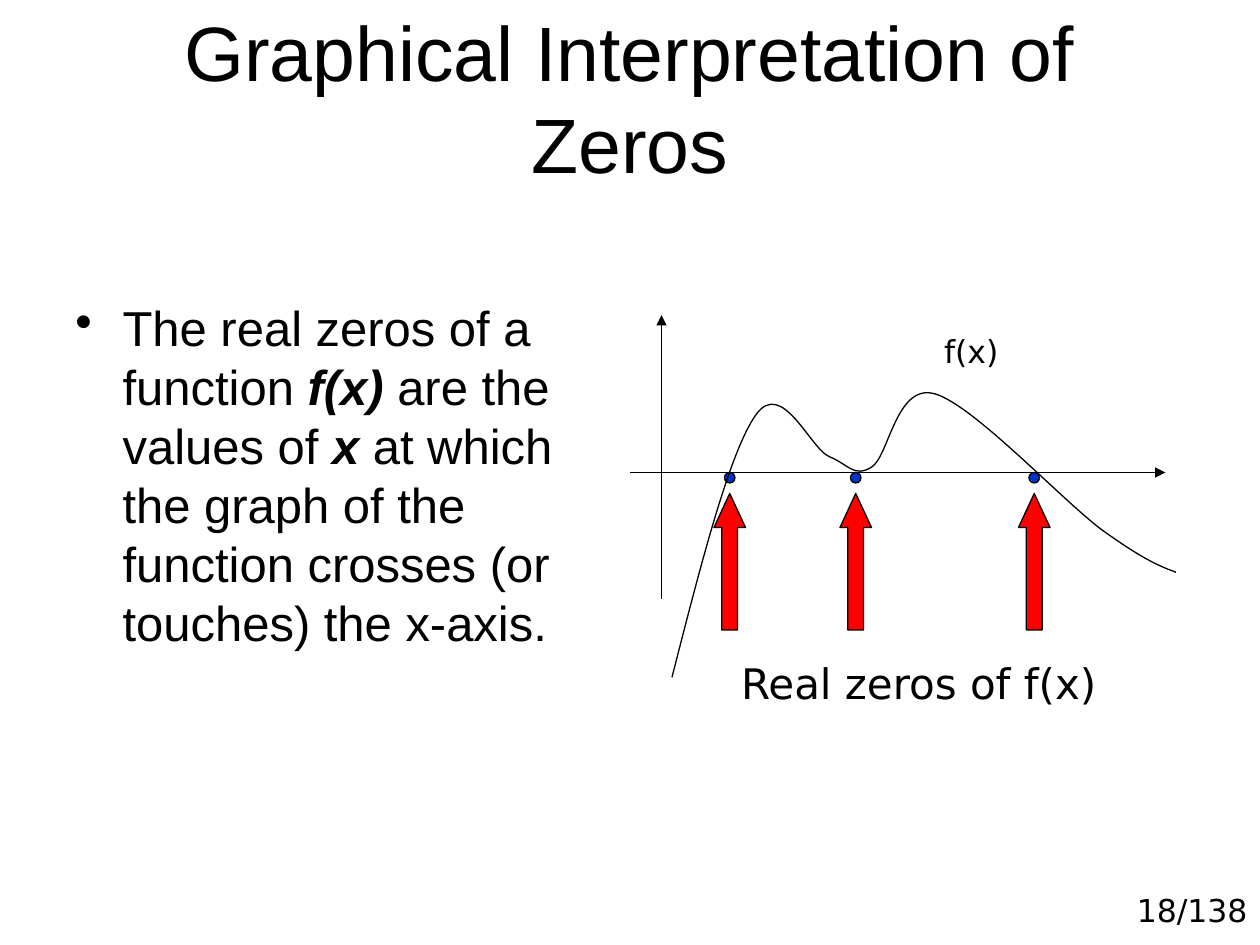
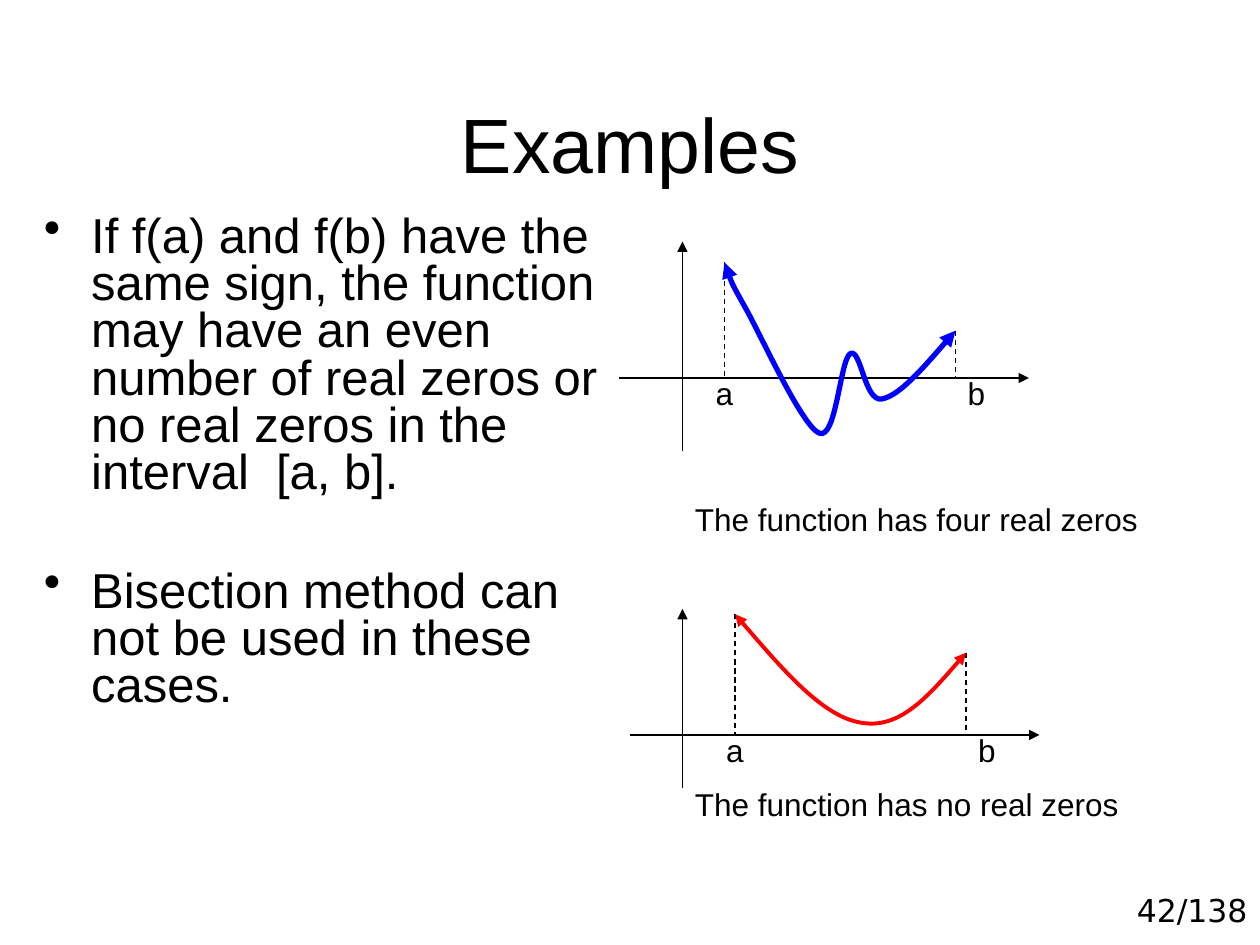
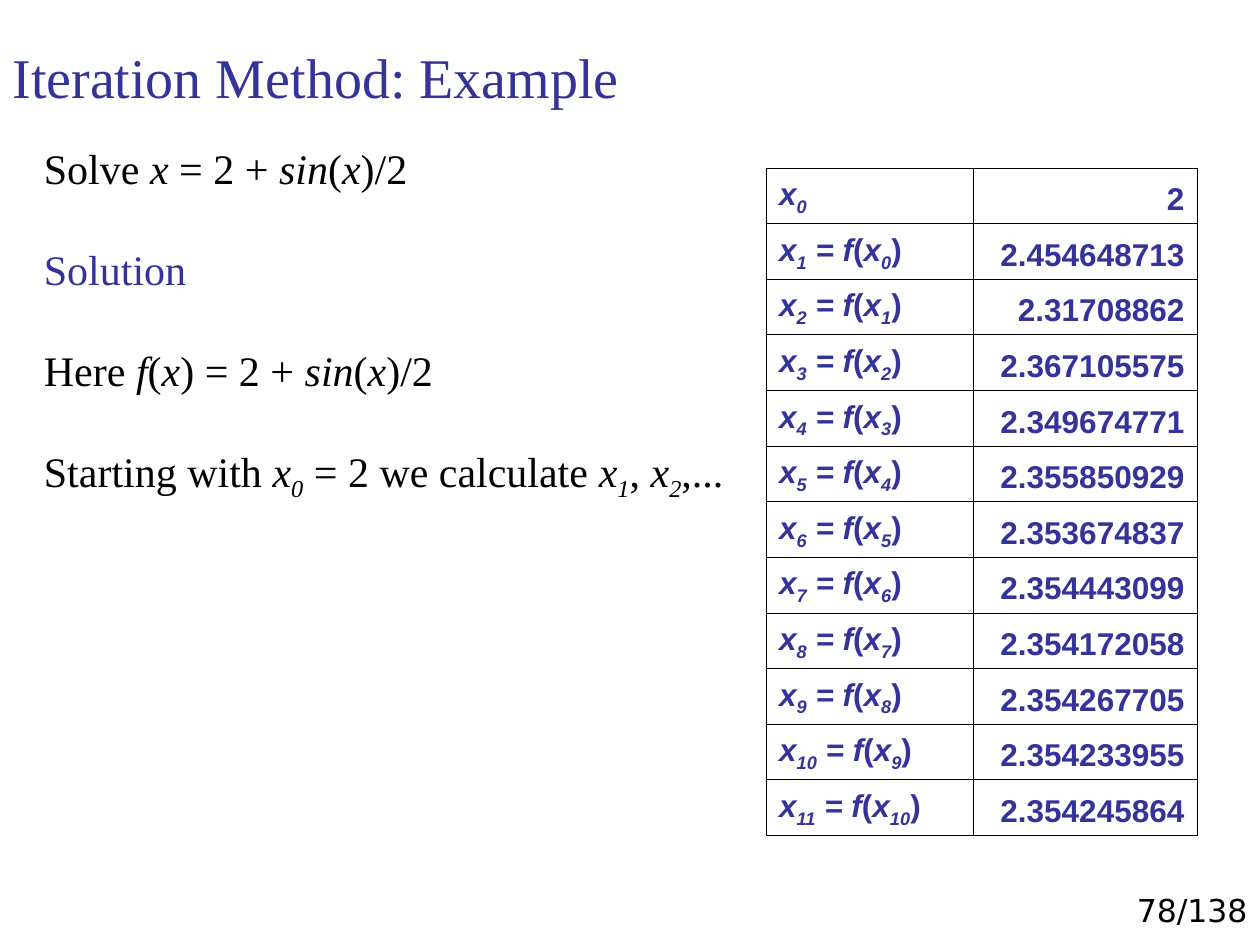
from lxml.etree import SubElement
from pptx import Presentation
from pptx.dml.color import RGBColor
from pptx.enum.dml import MSO_LINE
from pptx.enum.shapes import MSO_CONNECTOR, MSO_SHAPE
from pptx.enum.text import MSO_ANCHOR, PP_ALIGN
from pptx.oxml.ns import qn
from pptx.util import Pt

COLORS = {"black": "000000", "dot": "0033CC", "red": "FF0000",
          "blue": "0000FF", "indigo": "333399"}
SANS, SERIF, UI = "Arial", "Times New Roman", "DejaVu Sans"
PAGE_COUNT = 138
INDENT = 27

REAL_ZERO_CURVE = [
    (6, 117), (22.5, 52.5), (39, -12), (54, -33), (69, -54), (85, -13.5),
    (96, -9), (107, -4.5), (110, 3), (120, -3), (130, -9), (134, -51),
    (156, -45), (178, -39), (229, 16), (252, 33), (275, 49.5),
    (284.5, 53.5), (294, 57)]
FOUR_ZERO_CURVE = [
    (24, -66), (25.5, -61), (27, -56), (36, -40), (45, -24), (68, 27),
    (78, 31.5), (88, 36), (90, -11), (96, -14), (102, -17), (104, 14),
    (114, 12), (124, 10), (140, -8.5), (156, -27)]
NO_ZERO_CURVE = [
    (30, -69), (55, -40), (80, -10.5), (102, -7), (124, -3), (143, -25),
    (162, -47)]
ITERATES = ["2", "2.454648713", "2.31708862", "2.367105575", "2.349674771",
            "2.355850929", "2.353674837", "2.354443099", "2.354172058",
            "2.354267705", "2.354233955", "2.354245864"]


def rgb(name):
    return RGBColor.from_string(COLORS[name])


def add_runs(paragraph, runs, font, size, color="black"):
    """Add (text, marks) runs; marks: b bold, i italic, s subscript."""
    for text, marks in runs:
        run = paragraph.add_run()
        run.text = text
        run.font.name, run.font.size = font, Pt(size)
        run.font.color.rgb = rgb(color)
        run.font.bold, run.font.italic = "b" in marks, "i" in marks
        if "s" in marks:
            run._r.get_or_add_rPr().set("baseline", "-25000")


def add_bullet(paragraph):
    properties = paragraph._p.get_or_add_pPr()
    properties.set("marL", str(Pt(INDENT)))
    properties.set("indent", str(-Pt(INDENT)))
    bullet_color = SubElement(properties, qn("a:buClr"))
    SubElement(bullet_color, qn("a:srgbClr"), val=COLORS["black"])
    SubElement(properties, qn("a:buChar"), char="•")


def add_text(slide, box, paragraphs, font, size, color="black",
             align=PP_ALIGN.LEFT, anchor=MSO_ANCHOR.TOP, bullets=False,
             gap=0, line_spacing=None, side_inset=7.2):
    """Add a text box; each paragraph is a list of runs, gap lies between."""
    frame = slide.shapes.add_textbox(*map(Pt, box)).text_frame
    frame.word_wrap, frame.vertical_anchor = True, anchor
    frame.margin_left = frame.margin_right = Pt(side_inset)
    for index, runs in enumerate(paragraphs):
        paragraph = frame.add_paragraph() if index else frame.paragraphs[0]
        if bullets:
            add_bullet(paragraph)
        paragraph.alignment = align
        paragraph.space_before = Pt(gap if index else 0)
        if line_spacing:
            paragraph.line_spacing = line_spacing
        add_runs(paragraph, runs, font, size, color)
    return frame


def style_line(line, color="black", width=0.75, dash=False, ends=()):
    line.color.rgb, line.width = rgb(color), Pt(width)
    if dash:
        line.dash_style = MSO_LINE.DASH
    for end in ends:
        SubElement(line._get_or_add_ln(), qn(f"a:{end}"), type="triangle")


def add_line(slide, start, end, **style):
    connector = slide.shapes.add_connector(
        MSO_CONNECTOR.STRAIGHT, *map(Pt, (*start, *end)))
    style_line(connector.line, **style)
    SubElement(connector._element.spPr, qn("a:effectLst"))


def add_shape(slide, kind, box, fill):
    shape = slide.shapes.add_shape(kind, *map(Pt, box))
    shape.shadow.inherit = False
    shape.fill.solid()
    shape.fill.fore_color.rgb = rgb(fill)
    style_line(shape.line)
    return shape


def add_curve(slide, origin, points, **style):
    """Draw cubic segments: a start, then two controls and an end each."""
    left, top = origin
    start, *others = [(Pt(left + x), Pt(top + y)) for x, y in points]
    builder = slide.shapes.build_freeform(*start)
    builder.add_line_segments(others, close=False)
    curve = builder.convert_to_shape()
    segments = list(curve._element.iter(qn("a:lnTo")))
    for index in range(0, len(segments), 3):
        cubic = SubElement(segments[index].getparent(), qn("a:cubicBezTo"))
        for segment in segments[index:index + 3]:
            cubic.append(segment[0])
            segment.getparent().remove(segment)
    curve.shadow.inherit = False
    curve.fill.background()
    style_line(curve.line, **style)


def add_axes(slide, origin, left, right, up, down):
    x, y = origin
    add_line(slide, (x - left, y), (x + right, y), ends=["tailEnd"])
    add_line(slide, (x, y + down), (x, y - up), ends=["tailEnd"])


def add_page(presentation, number):
    slide = presentation.slides.add_slide(presentation.slide_layouts[6])
    add_text(slide, (606, 505.5, 114, 53.5),
             [[(f"{number}/{PAGE_COUNT}", "")]], UI, 18, align=PP_ALIGN.RIGHT)
    return slide


def add_centered_title(slide, title):
    add_text(slide, (36, 21.6, 648, 90), [[(title, "")]], SANS, 44,
             align=PP_ALIGN.CENTER, anchor=MSO_ANCHOR.BOTTOM, side_inset=12)


def add_zeros_graph(slide, origin):
    x, y = origin
    add_axes(slide, origin, left=18, right=288, up=90, down=72)
    for zero in (39, 111, 213):
        add_shape(slide, MSO_SHAPE.OVAL, (x + zero - 3, y, 6, 6), "dot")
        arrow = add_shape(slide, MSO_SHAPE.UP_ARROW,
                          (x + zero - 9, y + 12, 18, 78), "red")
        arrow.adjustments[0], arrow.adjustments[1] = 0.5, 1.08
    add_curve(slide, origin, REAL_ZERO_CURVE)
    add_text(slide, (x + 12, y + 102, 270, 36), [[("Real zeros of f(x)", "")]],
             UI, 24, align=PP_ALIGN.CENTER)
    add_text(slide, (x + 150, y - 84, 54, 29), [[("f(x)", "")]],
             UI, 18, align=PP_ALIGN.CENTER)


def add_interval_graph(slide, origin, axes, points, color, width,
                       caption, caption_drop):
    """Draw a curve over [a, b] with dashed drops to the x-axis."""
    x, y = origin
    add_axes(slide, origin, **axes)
    for name, (end_x, end_y), label_shift in (
            ("a", points[0], -30), ("b", points[-1], -18)):
        add_line(slide, (x + end_x, y + end_y), (x + end_x, y), dash=True)
        add_text(slide, (x + end_x + label_shift, y - 6, 42, 29),
                 [[(name, "")]], SANS, 18, align=PP_ALIGN.RIGHT)
    add_curve(slide, origin, points, color=color, width=width,
              ends=["headEnd", "tailEnd"])
    add_text(slide, (x, y + caption_drop, 270, 29), [[(caption, "")]],
             SANS, 18)


def add_iterates_table(slide, left, top):
    widths, row_height = (118, 128), 31.8
    table = slide.shapes.add_table(
        len(ITERATES), 2, Pt(left), Pt(top), Pt(sum(widths)),
        Pt(row_height * len(ITERATES))).table
    table.first_row = table.horz_banding = False
    for column, width in zip(table.columns, widths):
        column.width = Pt(width)
    for index, value in enumerate(ITERATES):
        table.rows[index].height = Pt(row_height)
        name = [("x", "bi"), (str(index), "bis")]
        if index:
            name += [(" = f", "bi"), ("(", "b"), ("x", "bi"),
                     (str(index - 1), "bis"), (")", "b")]
        fill_cell(table.cell(index, 0), name, PP_ALIGN.LEFT)
        fill_cell(table.cell(index, 1), [(value, "b")], PP_ALIGN.RIGHT)


def fill_cell(cell, runs, align):
    properties = cell._tc.get_or_add_tcPr()
    for side in "LRTB":
        border = SubElement(properties, qn(f"a:ln{side}"), w=str(Pt(0.45)))
        SubElement(SubElement(border, qn("a:solidFill")),
                   qn("a:srgbClr"), val=COLORS["black"])
    cell.fill.background()
    cell.vertical_anchor = MSO_ANCHOR.BOTTOM
    paragraph = cell.text_frame.paragraphs[0]
    paragraph.alignment = align
    add_runs(paragraph, runs, SANS, 18, "indigo")


def build_zeros_slide(presentation):
    slide = add_page(presentation, 18)
    add_centered_title(slide, "Graphical Interpretation of Zeros")
    add_text(slide, (36, 166.7, 330, 315), [[
        ("The real zeros of a function ", ""), ("f(x)", "bi"),
        (" are the values of ", ""), ("x", "bi"),
        (" at which the graph of the function crosses (or touches) "
         "the x-axis.", "")]], SANS, 28, bullets=True)
    add_zeros_graph(slide, (378, 270))


def build_examples_slide(presentation):
    slide = add_page(presentation, 42)
    add_centered_title(slide, "Examples")
    add_text(slide, (18, 120, 342, 312), [
        [("If f(a) and f(b) have the same sign, the function may have an "
          "even number of real zeros or no real zeros in the "
          "interval  [a, b].", "")],
        [("Bisection method can not be used in these cases.", "")],
    ], SANS, 28, bullets=True, gap=41, line_spacing=0.8)
    add_interval_graph(slide, (390, 216),
                       dict(left=36, right=198, up=78, down=42),
                       FOUR_ZERO_CURVE, "blue", 3,
                       "The function has four real zeros", 66)
    add_interval_graph(slide, (390, 420),
                       dict(left=30, right=204, up=72, down=30),
                       NO_ZERO_CURVE, "red", 2.25,
                       "The function has no real zeros", 25)


def build_iteration_slide(presentation):
    slide = add_page(presentation, 78)
    formula = [("x", "i"), (")/2", "")]
    sine = [(" = 2 + ", ""), ("sin", "i"), ("(", "")]
    frame = add_text(slide, (18, 78, 420, 213), [
        [("Solve ", ""), ("x", "i"), *sine, *formula],
        [("Solution", "")],
        [("Here ", ""), ("f", "i"), ("(", ""), ("x", "i"), (")", ""),
         *sine, *formula],
        [("Starting with ", ""), ("x", "i"), ("0", "is"),
         (" = 2 we calculate ", ""), ("x", "i"), ("1", "is"), (", ", ""),
         ("x", "i"), ("2", "is"), (",...", "")],
    ], SERIF, 24, gap=28.8)
    frame.paragraphs[1].runs[0].font.color.rgb = rgb("indigo")
    add_text(slide, (0, 18, 622, 48), [[("Iteration Method: Example", "")]],
             SERIF, 32, "indigo", anchor=MSO_ANCHOR.BOTTOM)
    add_iterates_table(slide, 438, 96)


def main():
    presentation = Presentation()
    presentation.slide_width, presentation.slide_height = Pt(720), Pt(540)
    build_zeros_slide(presentation)
    build_examples_slide(presentation)
    build_iteration_slide(presentation)
    presentation.save("out.pptx")


if __name__ == "__main__":
    main()
